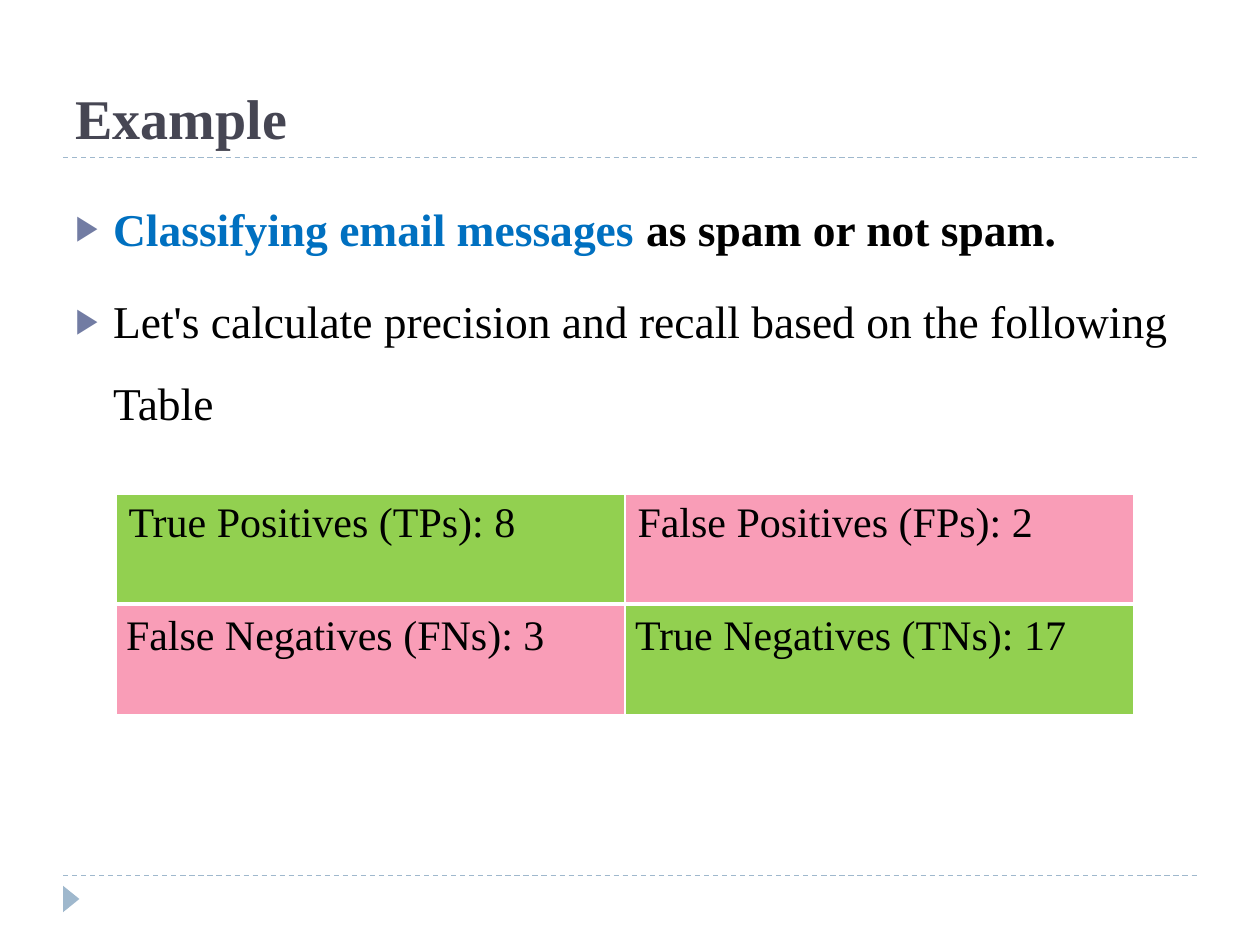
from typing import NamedTuple

from lxml.etree import SubElement
from pptx import Presentation
from pptx.dml.color import RGBColor
from pptx.enum.dml import MSO_LINE_DASH_STYLE as Dash
from pptx.enum.shapes import MSO_CONNECTOR as Connector, MSO_SHAPE as Shape
from pptx.enum.text import MSO_ANCHOR as Anchor, MSO_AUTO_SIZE as AutoSize, PP_ALIGN as Align
from pptx.oxml.ns import qn
from pptx.util import Inches, Pt

COLORS = {
    "rule": "9FB8CD", "title": "464653", "bullet": "727CA3", "accent": "0070C0",
    "text": "000000", "correct": "92D050", "wrong": "F99DB7", "border": "FFFFFF",
}
FONT = "Times New Roman"


class Phrase(NamedTuple):
    text: str
    color: str = "text"
    bold: bool = False


class Outcome(NamedTuple):
    text: str
    fill: str


POINTS = [
    [Phrase("Classifying email messages ", "accent", True),
     Phrase("as spam or not spam.", bold=True)],
    [Phrase("Let's calculate precision and recall based on the following Table")],
]
OUTCOMES = [
    [Outcome("True Positives (TPs): 8", "correct"), Outcome("False Positives (FPs): 2", "wrong")],
    [Outcome("False Negatives (FNs): 3", "wrong"), Outcome("True Negatives (TNs): 17", "correct")],
]


def rgb(name: str) -> RGBColor:
    return RGBColor.from_string(COLORS[name])


def add_phrase(paragraph, phrase: Phrase, size: int) -> None:
    run = paragraph.add_run()
    run.text = phrase.text
    for attribute, value in {"name": FONT, "size": Pt(size), "bold": phrase.bold}.items():
        setattr(run.font, attribute, value)
    run.font.color.rgb = rgb(phrase.color)


def add_rule(slide, y: float) -> None:
    rule = slide.shapes.add_connector(
        Connector.STRAIGHT, Inches(0.5), Inches(y), Inches(9.5), Inches(y))
    rule.line.color.rgb = rgb("rule")
    rule.line.width = Pt(0.75)
    rule.line.dash_style = Dash.DASH
    SubElement(rule._element.spPr, qn("a:effectLst"))


def add_bullet(paragraph) -> None:
    properties = paragraph._p.get_or_add_pPr()
    properties.set("marL", str(Inches(0.3)))
    properties.set("indent", str(-Inches(0.3)))
    color = SubElement(properties, qn("a:buClr"))
    SubElement(color, qn("a:srgbClr"), val=COLORS["bullet"])
    SubElement(properties, qn("a:buSzPct"), val="76000")
    SubElement(properties, qn("a:buFont"), typeface=FONT)
    SubElement(properties, qn("a:buChar"), char="\u25b6")


def add_borders(cell, widths: dict[str, float]) -> None:
    properties = cell._tc.get_or_add_tcPr()
    for position, (side, width) in enumerate(widths.items()):
        border = SubElement(properties, qn(f"a:ln{side}"), w=str(Pt(width)))
        fill = SubElement(border, qn("a:solidFill"))
        SubElement(fill, qn("a:srgbClr"), val=COLORS["border"])
        properties.insert(position, border)


deck = Presentation()
deck.slide_width, deck.slide_height = Inches(10), Inches(7.5)
slide = deck.slides.add_slide(deck.slide_layouts[5])

# Rules and corner marker
for rule_y in (6.95, 1.25):
    add_rule(slide, rule_y)
marker = slide.shapes.add_shape(
    Shape.ISOSCELES_TRIANGLE, Inches(0.46), Inches(7.07), Inches(0.21), Inches(0.13))
marker.rotation = 90
marker.shadow.inherit = False
marker.fill.solid()
marker.fill.fore_color.rgb = rgb("rule")
marker.line.fill.background()

# Title
title = slide.shapes.title
title.left, title.top, title.width, title.height = map(Inches, (0.5, 0.17, 9, 1.08))
title.text_frame.auto_size = AutoSize.NONE
title.text_frame.vertical_anchor = Anchor.BOTTOM
heading = title.text_frame.paragraphs[0]
heading.alignment = Align.LEFT
add_phrase(heading, Phrase("Example", "title", True), 32)

# Bulleted points
body = slide.shapes.add_textbox(Inches(0.5), Inches(1.33), Inches(9), Inches(5.4)).text_frame
body.word_wrap = True
for index, phrases in enumerate(POINTS):
    point = body.add_paragraph() if index else body.paragraphs[0]
    point.line_spacing = 1.5
    point.space_before = Pt(6)
    add_bullet(point)
    for phrase in phrases:
        add_phrase(point, phrase, 26)

# Confusion matrix
matrix = slide.shapes.add_table(
    2, 2, Inches(0.92), Inches(3.92), Inches(8.08), Inches(1.75)).table
matrix.first_row = matrix.horz_banding = False
LOWER_MARGINS = {"margin_left": 0.08, "margin_top": 0.07,
                 "margin_right": 0.08, "margin_bottom": 0.08}
for row, outcomes in enumerate(OUTCOMES):
    for column, outcome in enumerate(outcomes):
        cell = matrix.cell(row, column)
        cell.fill.solid()
        cell.fill.fore_color.rgb = rgb(outcome.fill)
        add_phrase(cell.text_frame.paragraphs[0], Phrase(outcome.text), 24)
        if row:
            for margin, inches in LOWER_MARGINS.items():
                setattr(cell, margin, Inches(inches))
        add_borders(cell, {"L": 1, "R": 1, "T": 3 if row else 1, "B": 1 if row else 3})

deck.save("out.pptx")
